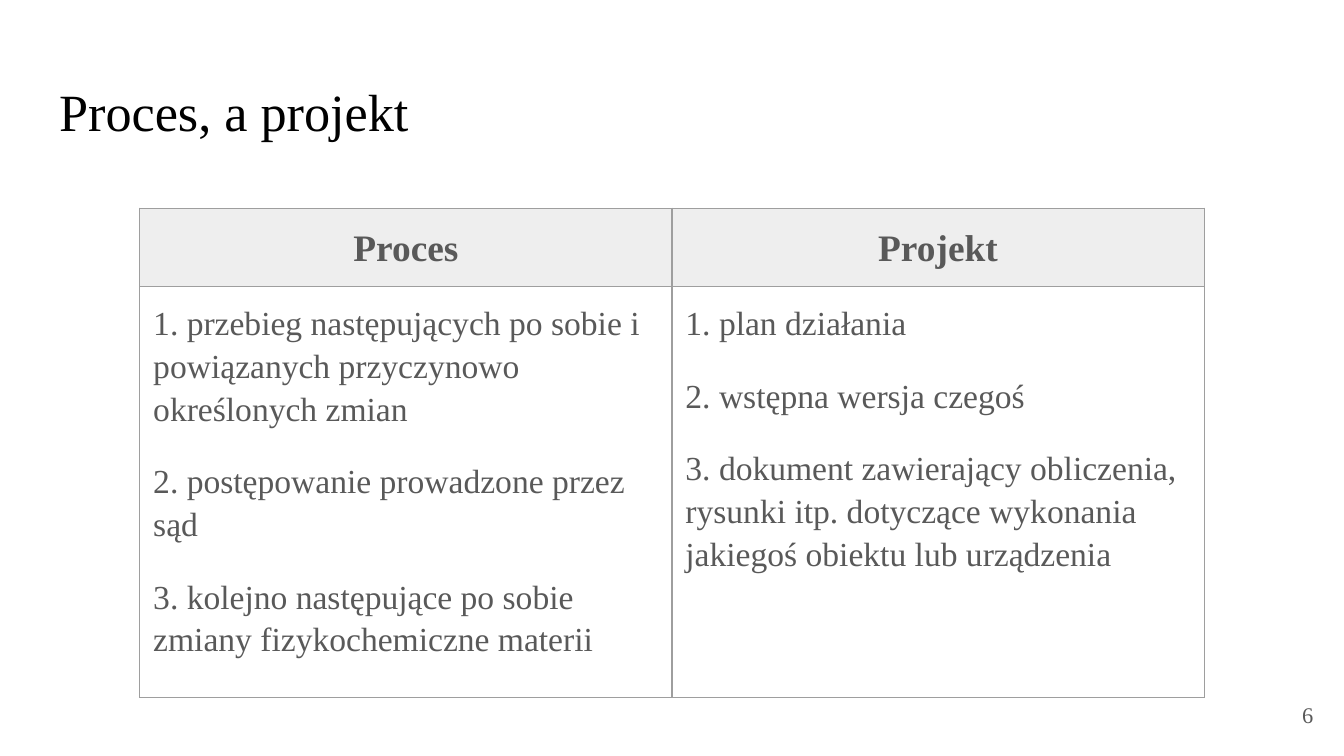
from lxml import etree
from pptx import Presentation
from pptx.dml.color import RGBColor
from pptx.enum import text as t
from pptx.oxml import ns
from pptx.util import Inches, Pt

TITLE = "Proces, a projekt"
NUMBER = "6"
TABLE = {
    "Proces": [
        "1. przebieg następujących po sobie i powiązanych przyczynowo określonych zmian",
        "2. postępowanie prowadzone przez sąd",
        "3. kolejno następujące po sobie zmiany fizykochemiczne materii",
    ],
    "Projekt": [
        "1. plan działania",
        "2. wstępna wersja czegoś",
        "3. dokument zawierający obliczenia, rysunki itp. dotyczące wykonania "
        "jakiegoś obiektu lub urządzenia",
    ],
}
FONT = "Times New Roman"
BLACK = RGBColor(0, 0, 0)
GRAY = RGBColor(0x59, 0x59, 0x59)
PALE = RGBColor(0xEE, 0xEE, 0xEE)
RULE = RGBColor(0x9E, 0x9E, 0x9E)
PAD = Inches(0.1)


def write(frame, lines, size, color=GRAY, bold=False, align=t.PP_ALIGN.LEFT,
          lead=1.0, gap=0):
    for i, line in enumerate(lines):
        para = frame.add_paragraph() if i else frame.paragraphs[0]
        para.alignment = align
        para.line_spacing = lead
        para.space_before = Pt(gap if i else 0)
        para.space_after = Pt(gap if line == lines[-1] else 0)
        run = para.add_run()
        run.text = line
        font = run.font
        font.name, font.size, font.bold = FONT, Pt(size), bold
        font.color.rgb = color


def pad(box):
    box.margin_left = box.margin_right = PAD
    box.margin_top = box.margin_bottom = PAD


def border(cell):
    props = cell._tc.get_or_add_tcPr()
    for i, side in enumerate(("lnL", "lnR", "lnT", "lnB")):
        line = etree.Element(ns.qn("a:" + side), w=str(Pt(0.75)))
        fill = etree.SubElement(line, ns.qn("a:solidFill"))
        etree.SubElement(fill, ns.qn("a:srgbClr"), val=str(RULE))
        props.insert(i, line)


def place(shape, left, top, width, height):
    shape.left, shape.top = Inches(left), Inches(top)
    shape.width, shape.height = Inches(width), Inches(height)


def main():
    deck = Presentation()
    deck.slide_width = Inches(10)
    deck.slide_height = deck.slide_width * 9 // 16
    slide = deck.slides.add_slide(deck.slide_layouts[5])

    title = slide.shapes.title
    place(title, 0.34, 0.49, 9.32, 0.63)
    frame = title.text_frame
    pad(frame)
    frame.vertical_anchor = t.MSO_ANCHOR.TOP
    frame.auto_size = t.MSO_AUTO_SIZE.NONE
    write(frame, [TITLE], 28, color=BLACK)

    number = slide.shapes.add_textbox(
        Inches(9.27), Inches(5.1), Inches(0.6), Inches(0.43))
    frame = number.text_frame
    pad(frame)
    frame.word_wrap = True
    frame.vertical_anchor = t.MSO_ANCHOR.MIDDLE
    write(frame, [NUMBER], 12, align=t.PP_ALIGN.RIGHT)

    holder = slide.shapes.add_table(2, len(TABLE), 0, 0, 0, 0)
    table = holder.table
    table.horz_banding = table.first_row = False
    for row in table.rows:
        row.height = Inches(0.42)
    for col, (head, items) in enumerate(TABLE.items()):
        table.columns[col].width = Inches(3.96)
        top, body = table.cell(0, col), table.cell(1, col)
        for cell in (top, body):
            pad(cell)
            border(cell)
        top.fill.solid()
        top.fill.fore_color.rgb = PALE
        body.fill.background()
        write(top.text_frame, [head], 20, bold=True,
              align=t.PP_ALIGN.CENTER, lead=1.15, gap=16)
        write(body.text_frame, items, 18, lead=1.15, gap=16)
    place(holder, 1.04, 1.55, 3.28, 3.28)

    deck.save("out.pptx")


if __name__ == "__main__":
    main()
